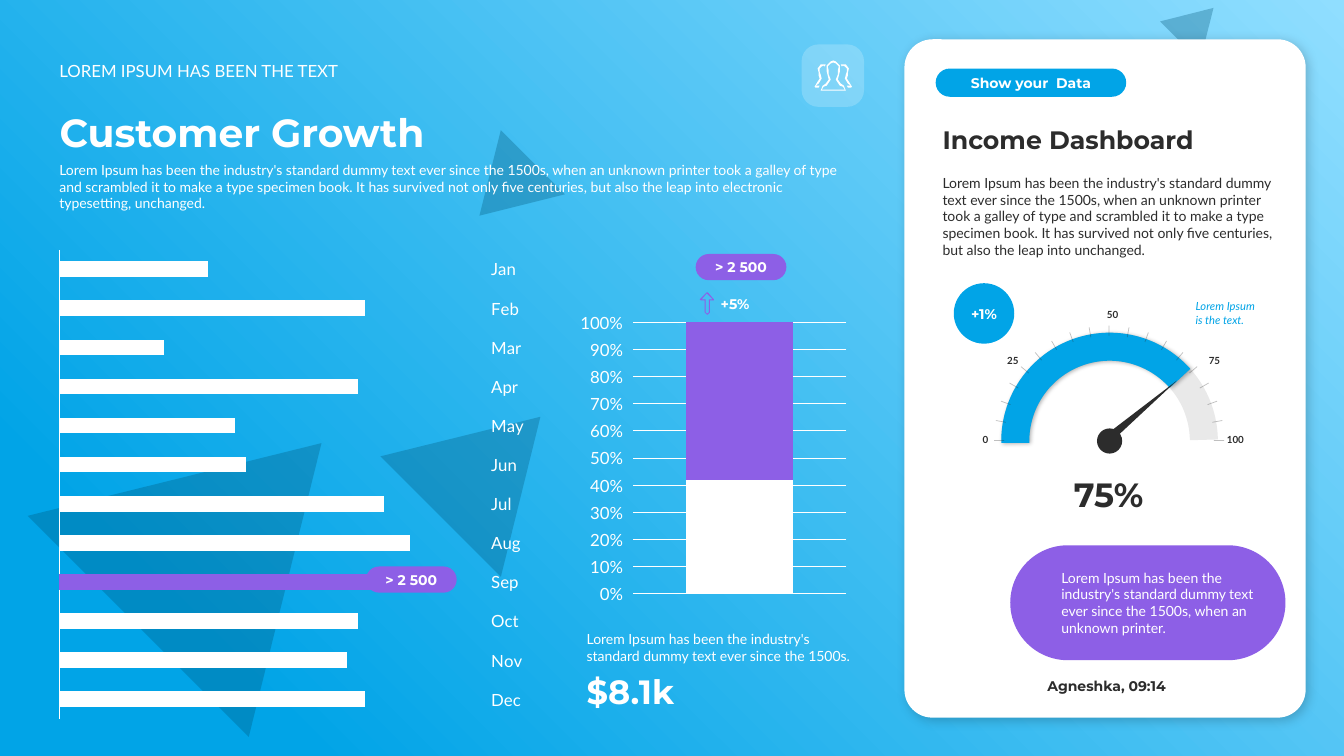
from math import cos, radians, sin

from lxml import etree
from pptx import Presentation
from pptx.chart.data import CategoryChartData
from pptx.dml.color import RGBColor
from pptx.enum.chart import XL_CHART_TYPE, XL_TICK_LABEL_POSITION, XL_TICK_MARK
from pptx.enum.shapes import MSO_CONNECTOR, MSO_SHAPE
from pptx.enum.text import MSO_ANCHOR, MSO_AUTO_SIZE, PP_ALIGN
from pptx.oxml import parse_xml
from pptx.oxml.ns import nsdecls, qn
from pptx.util import Inches, Pt

TRI, ROUND, OVAL, ARC = (MSO_SHAPE.ISOSCELES_TRIANGLE, MSO_SHAPE.ROUNDED_RECTANGLE,
                         MSO_SHAPE.OVAL, MSO_SHAPE.ARC)
TOP, MID, LOW = MSO_ANCHOR.TOP, MSO_ANCHOR.MIDDLE, MSO_ANCHOR.BOTTOM
LEFT, CENTER, RIGHT = PP_ALIGN.LEFT, PP_ALIGN.CENTER, PP_ALIGN.RIGHT
WHITE, BLUE, PURPLE, DARK, NAVY = "FFFFFF", "01A4E7", "8D5FE6", "2C2C2C", "005274"
BODY, HEAD = "Lato", "Montserrat"


def paint(fill, color):
    fill.solid()
    fill.fore_color.rgb = RGBColor.from_string(color)


def write(sp, text, size, font, color, align=LEFT, anchor=TOP, margins=(0.1, 0.05, 0.1, 0.05),
          bold=False, italic=False):
    tf = sp.text_frame
    sides = ("margin_left", "margin_top", "margin_right", "margin_bottom")
    fmt = dict(zip(sides, map(Inches, margins)), word_wrap=True,
               auto_size=MSO_AUTO_SIZE.NONE, vertical_anchor=anchor)
    for name, value in fmt.items():
        setattr(tf, name, value)
    p = tf.paragraphs[0]
    p.alignment = align
    r = p.add_run()
    r.text = text
    for name, value in dict(size=Pt(size), name=font, bold=bold, italic=italic).items():
        setattr(r.font, name, value)
    paint(r.font.fill, color)


prs = Presentation()
prs.slide_width, prs.slide_height = Inches(13.33), Inches(7.5)
s = prs.slides.add_slide(prs.slide_layouts[5])
faint = []  # (shape, opacity in percent)

# Background glow from the top right corner
glow = s.background.fill
glow.gradient()
for stop, color, place in zip(glow.gradient_stops, ("90DEFF", BLUE), (0, 0.85)):
    stop.color.rgb = RGBColor.from_string(color)
    stop.position = place
grad = s.element.xpath(".//a:gradFill")[0]
grad.remove(grad.find(qn("a:lin")))
grad.append(parse_xml(f'<a:path {nsdecls("a")} path="circle">'
                      '<a:fillToRect l="100000" b="100000"/></a:path>'))

# Title
title = s.shapes.title
title.left, title.top, title.width, title.height = map(Inches, (0.49, 1.02, 8.08, 0.57))
write(title, "Customer Growth", 28, HEAD, WHITE, anchor=LOW, bold=True)

# Triangles, white card and icon tile: kind, box, colour, rotation, corner, opacity
shapes = []
for kind, box, color, turn, corner, alpha in (
        (TRI, (0.73, 4.02, 3.1, 2.57), NAVY, 45, None, 30),
        (TRI, (4.02, 3.93, 1.69, 1.4), NAVY, 45, None, 30),
        (TRI, (4.57, 1.5, 0.9, 0.75), NAVY, 45, None, 30),
        (TRI, (11.59, 0.01, 0.56, 0.47), NAVY, 45, None, 30),
        (ROUND, (8.97, 0.39, 3.98, 6.73), WHITE, 0, 0.07, 100),
        (ROUND, (7.95, 0.44, 0.62, 0.62), WHITE, 0, 0.27, 20)):
    sp = s.shapes.add_shape(kind, *map(Inches, box))
    sp.shadow.inherit = False
    paint(sp.fill, color)
    sp.line.fill.background()
    sp.rotation = turn
    if corner:
        sp.adjustments[0] = corner
    if alpha < 100:
        faint.append((sp, alpha))
    shapes.append(sp)
shapes[2].element.xpath(".//a:xfrm")[0].set("flipV", "1")
card = shapes[4]

# People icon and up arrow, each made of closed outlines
AXIS = 8.265
outer = [(AXIS, 0.6), (8.24, 0.61), (8.2, 0.65), (8.2, 0.71), (8.21, 0.75), (8.22, 0.79),
         (8.19, 0.83), (8.16, 0.85), (8.14, 0.9)]
inner = [(AXIS, 0.62), (8.24, 0.63), (8.21, 0.66), (8.22, 0.7), (8.22, 0.74), (8.24, 0.79),
         (8.2, 0.85), (8.17, 0.86), (8.15, 0.89)]
side = [(8.12, 0.83), (8.15, 0.78), (8.14, 0.74), (8.13, 0.71), (8.13, 0.68), (8.15, 0.66),
        (8.17, 0.65), (8.18, 0.66), (8.19, 0.64), (8.17, 0.64), (8.14, 0.64), (8.11, 0.68),
        (8.12, 0.72), (8.12, 0.75), (8.13, 0.78), (8.11, 0.81), (8.08, 0.86), (8.09, 0.87),
        (8.12, 0.87), (8.13, 0.85), (8.09, 0.85)]
mirrored = [[(2 * AXIS - x, y) for x, y in half] for half in (outer, inner, side)]
people = [outer + mirrored[0][::-1], inner + mirrored[1][::-1], side, mirrored[2]]
arrow = [[(7.01, 2.9), (6.94, 2.97), (6.95, 2.98), (6.99, 2.98), (6.99, 3.1), (7.01, 3.12),
          (7.02, 3.12), (7.04, 3.1), (7.04, 2.98), (7.08, 2.98), (7.08, 2.97), (7.02, 2.9)],
         [(7.03, 2.97), (7.03, 3.1), (7.02, 3.11), (7.01, 3.11), (7, 3.1), (7, 2.97),
          (6.96, 2.97), (7.01, 2.91), (7.07, 2.97)]]
for outlines, color in ((people, WHITE), (arrow, PURPLE)):
    points = [[(Inches(x), Inches(y)) for x, y in line] for line in outlines]
    fb = s.shapes.build_freeform(*points[0][0])
    fb.add_line_segments(points[0][1:], close=True)
    for line in points[1:]:
        fb.move_to(*line[0])
        fb.add_line_segments(line[1:], close=True)
    sp = fb.convert_to_shape()
    sp.shadow.inherit = False
    paint(sp.fill, color)
    sp.line.fill.background()

# Charts: kind, box, plot area, gap, overlap, categories, series, colours, highlighted point
months = "Jan Feb Mar Apr May Jun Jul Aug Sep Oct Nov Dec".split()
growth = (40, 82, 28, 80, 47, 50, 87, 94, 100, 80, 77, 82)
charts = []
for kind, box, area, gap, overlap, cats, series, colors, spot in (
        (XL_CHART_TYPE.BAR_CLUSTERED, (0.49, 2.38, 4.76, 4.85), (0.02, 0.02, 0.88, 0.96),
         150, -25, months, [growth], [WHITE], (8, PURPLE)),
        (XL_CHART_TYPE.COLUMN_STACKED_100, (5.7, 3.05, 2.75, 2.99), (0.21, 0.05, 0.77, 0.9),
         100, 100, ["1"], [(42,), (58,)], [BLUE, PURPLE], (0, WHITE))):
    data = CategoryChartData()
    data.categories = cats
    for i, values in enumerate(series, 1):
        data.add_series(f"Series {i}", values)
    chart = s.shapes.add_chart(kind, *map(Inches, box), data).chart
    chart.has_legend = chart.has_title = False
    chart.font.size, chart.font.name = Pt(12), BODY
    paint(chart.font.fill, WHITE)
    plot = chart.plots[0]
    plot.gap_width, plot.overlap, plot.vary_by_categories = gap, overlap, False
    for ser, color in zip(plot.series, colors):
        paint(ser.format.fill, color)
    paint(plot.series[0].points[spot[0]].format.fill, spot[1])
    plot_area = chart.element.xpath(".//c:plotArea")[0]
    for old in plot_area.findall(qn("c:layout")):
        plot_area.remove(old)
    sizes = "".join(f'<c:{tag} val="{v}"/>' for tag, v in zip("xywh", area))
    plot_area.insert(0, parse_xml(
        f'<c:layout {nsdecls("c")}><c:manualLayout><c:layoutTarget val="inner"/>'
        f'<c:xMode val="edge"/><c:yMode val="edge"/>{sizes}</c:manualLayout></c:layout>'))
    charts.append(chart)
bars, stack = charts
cat, val = bars.category_axis, bars.value_axis
cat.reverse_order = True
cat.major_tick_mark = XL_TICK_MARK.NONE
cat.tick_label_position = XL_TICK_LABEL_POSITION.HIGH
val.visible = val.has_major_gridlines = False
val.minimum_scale, val.maximum_scale = 0, 113
stack.category_axis.visible = False
share = stack.value_axis
share.minimum_scale, share.maximum_scale, share.major_unit = 0, 1, 0.1
share.tick_labels.number_format, share.tick_labels.number_format_is_linked = "0%", False
share.major_tick_mark = XL_TICK_MARK.OUTSIDE
share.format.line.fill.background()
for line in (cat.format.line, share.major_gridlines.format.line):
    paint(line.fill, WHITE)
    line.width = Pt(0.75)

# Gauge: grey track, blue value arc, ticks every 10 degrees
CX, CY = 11, 4.37
for start, end, color in ((108.1, 215.58, DARK), (107.34, 191.03, BLUE)):
    arc = s.shapes.add_shape(ARC, *map(Inches, (10.07, 3.44, 1.87, 1.87)))
    arc.adjustments[0], arc.adjustments[1] = start, end
    arc.shadow.inherit = False
    arc.fill.background()
    paint(arc.line.fill, color)
    arc.line.width = Pt(20)
    if color == DARK:
        faint.append((arc, 10))
for angle in range(0, 181, 10):
    dx, dy = cos(radians(angle)), -sin(radians(angle))
    ends = [c + r * d for r in (1.14, 1.04) for c, d in ((CX, dx), (CY, dy))]
    tick = s.shapes.add_connector(MSO_CONNECTOR.STRAIGHT, *map(Inches, ends))
    paint(tick.line.fill, DARK)
    tick.line.width = Pt(0.5)
    etree.SubElement(tick.element.spPr, qn("a:effectLst"))
    faint.append((tick, 30))

# Needle, hub, badges and bubble: kind, box, colour, rotation, text format
badge = dict(size=10, font=HEAD, color=WHITE, align=CENTER, anchor=MID,
             margins=(0, 0, 0, 0), bold=True)
quote = dict(size=10, font=BODY, color=WHITE, anchor=MID, margins=(0.34, 0, 0.12, 0))
for kind, box, color, turn, text, fmt in (
        (OVAL, (10.88, 4.25, 0.25, 0.25), DARK, 0, "", {}),
        (TRI, (11.32, 3.63, 0.08, 0.82), DARK, 49.8, "", {}),
        (ROUND, (6.9, 2.52, 0.9, 0.26), PURPLE, 0, "> 2 500", badge),
        (ROUND, (3.63, 5.62, 0.9, 0.26), PURPLE, 0, "> 2 500", badge),
        (ROUND, (9.28, 0.68, 1.89, 0.28), BLUE, 0, "Show your  Data", badge),
        (OVAL, (9.46, 2.81, 0.6, 0.6), BLUE, 0, "+1%", badge),
        (ROUND, (10.02, 5.41, 2.73, 1.14), PURPLE, 0,
         "Lorem Ipsum has been the industry's standard dummy text ever since the 1500s, "
         "when an unknown printer.", quote)):
    sp = s.shapes.add_shape(kind, *map(Inches, box))
    sp.shadow.inherit = False
    paint(sp.fill, color)
    sp.line.fill.background()
    sp.rotation = turn
    if kind == ROUND:
        sp.adjustments[0] = 0.5
    if text:
        write(sp, text, **fmt)

# Text boxes: box, text, size, font, colour, further format
lorem = ("Lorem Ipsum has been the industry's standard dummy text ever since the 1500s, when an "
         "unknown printer took a galley of type and scrambled it to make a type specimen book. "
         "It has survived not only five centuries, but also the leap into ")
low_bold, scale = dict(anchor=LOW, bold=True), dict(anchor=MID, bold=True)
for box, text, size, font, color, fmt in (
        ((0.49, 0.55, 8.08, 0.3), "LOREM IPSUM HAS BEEN THE TEXT", 12, BODY, WHITE, dict(anchor=LOW)),
        ((0.49, 1.55, 8.08, 0.61), lorem + "electronic typesetting, unchanged.", 10, BODY, WHITE, {}),
        ((5.72, 6.61, 2.91, 0.5), "$8.1k", 24, HEAD, WHITE, low_bold),
        ((5.72, 6.2, 2.91, 0.44), "Lorem Ipsum has been the industry's standard dummy text ever "
         "since the 1500s.", 10, BODY, WHITE, dict(anchor=LOW)),
        ((7.08, 2.88, 0.42, 0.27), "+5%", 10, HEAD, WHITE,
         dict(align=CENTER, bold=True, margins=(0, 0.05, 0, 0.05))),
        ((9.25, 1.68, 3.5, 0.94), lorem + "unchanged.", 10, BODY, DARK, {}),
        ((9.25, 1.18, 3.5, 0.4), "Income Dashboard", 18, HEAD, DARK, low_bold),
        ((9.56, 4.22, 0.34, 0.28), "0", 7, BODY, DARK, dict(scale, align=RIGHT)),
        ((9.79, 3.44, 0.41, 0.28), "25", 7, BODY, DARK, dict(scale, align=RIGHT)),
        ((10.78, 2.95, 0.41, 0.28), "50", 7, BODY, DARK, dict(low_bold, align=RIGHT)),
        ((11.89, 3.44, 0.41, 0.28), "75", 7, BODY, DARK, scale),
        ((12.07, 4.22, 0.59, 0.28), "100", 7, BODY, DARK, scale),
        ((11.76, 2.92, 0.87, 0.37), "Lorem Ipsum is the text.", 8, BODY, BLUE,
         dict(anchor=MID, italic=True)),
        ((9.8, 4.65, 2.39, 0.5), "75%", 24, HEAD, DARK, dict(low_bold, align=CENTER)),
        ((10.29, 6.67, 2.28, 0.27), "Agneshka, 09:14", 10, HEAD, DARK, low_bold)):
    write(s.shapes.add_textbox(*map(Inches, box)), text, size, font, color, **fmt)

# Transparency and soft shadows
for sp, percent in faint:
    for clr in sp.element.xpath(".//a:srgbClr"):
        etree.SubElement(clr, qn("a:alpha"), val=str(percent * 1000))
for sp, percent, blur, dist in ((card, 20, 8, 3), (arc, 30, 3, 1)):
    sp.element.xpath(".//a:effectLst")[0].append(parse_xml(
        f'<a:outerShdw {nsdecls("a")} blurRad="{Pt(blur)}" dist="{Pt(dist)}" dir="2700000">'
        f'<a:srgbClr val="000000"><a:alpha val="{percent * 1000}"/></a:srgbClr></a:outerShdw>'))

prs.save("out.pptx")
